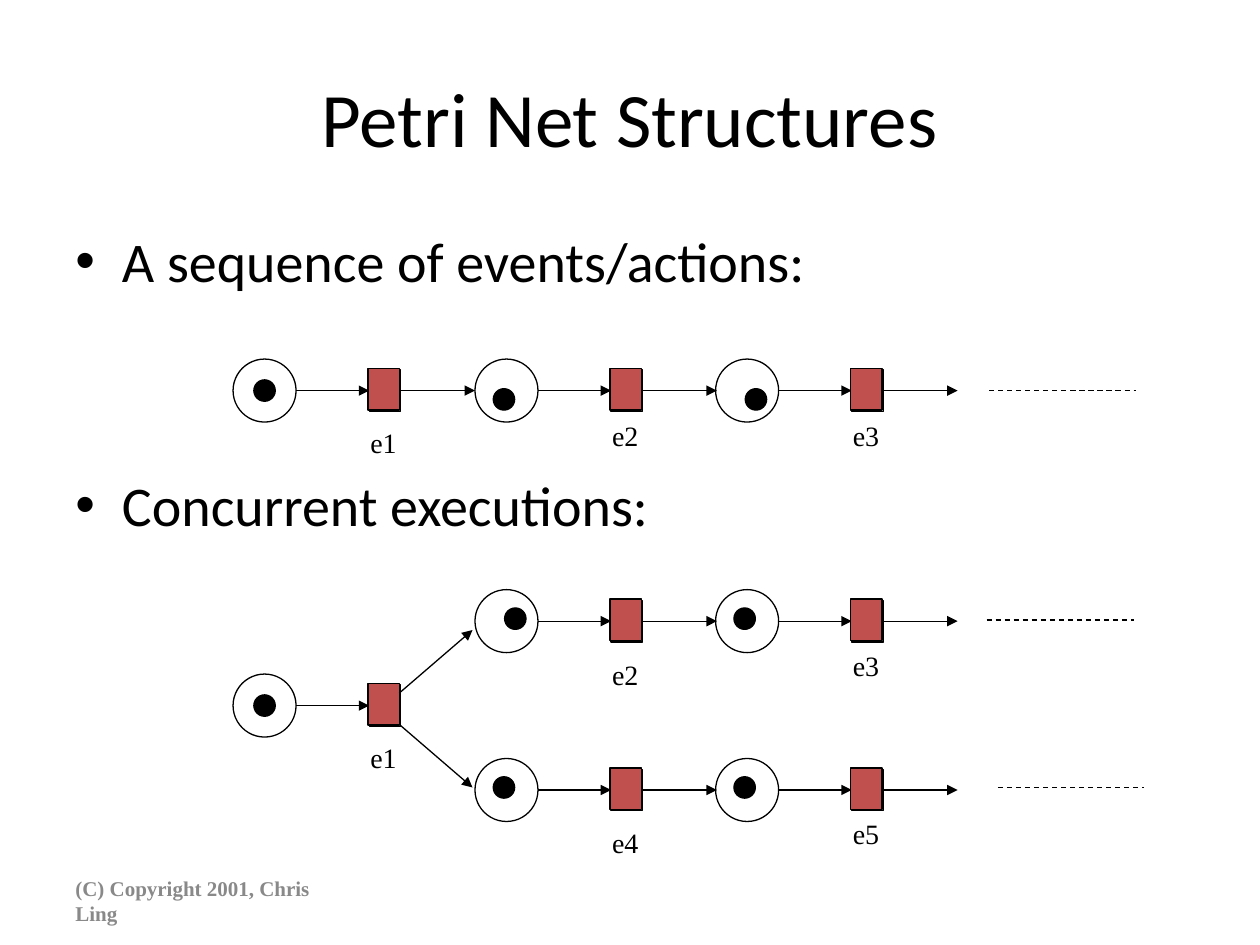
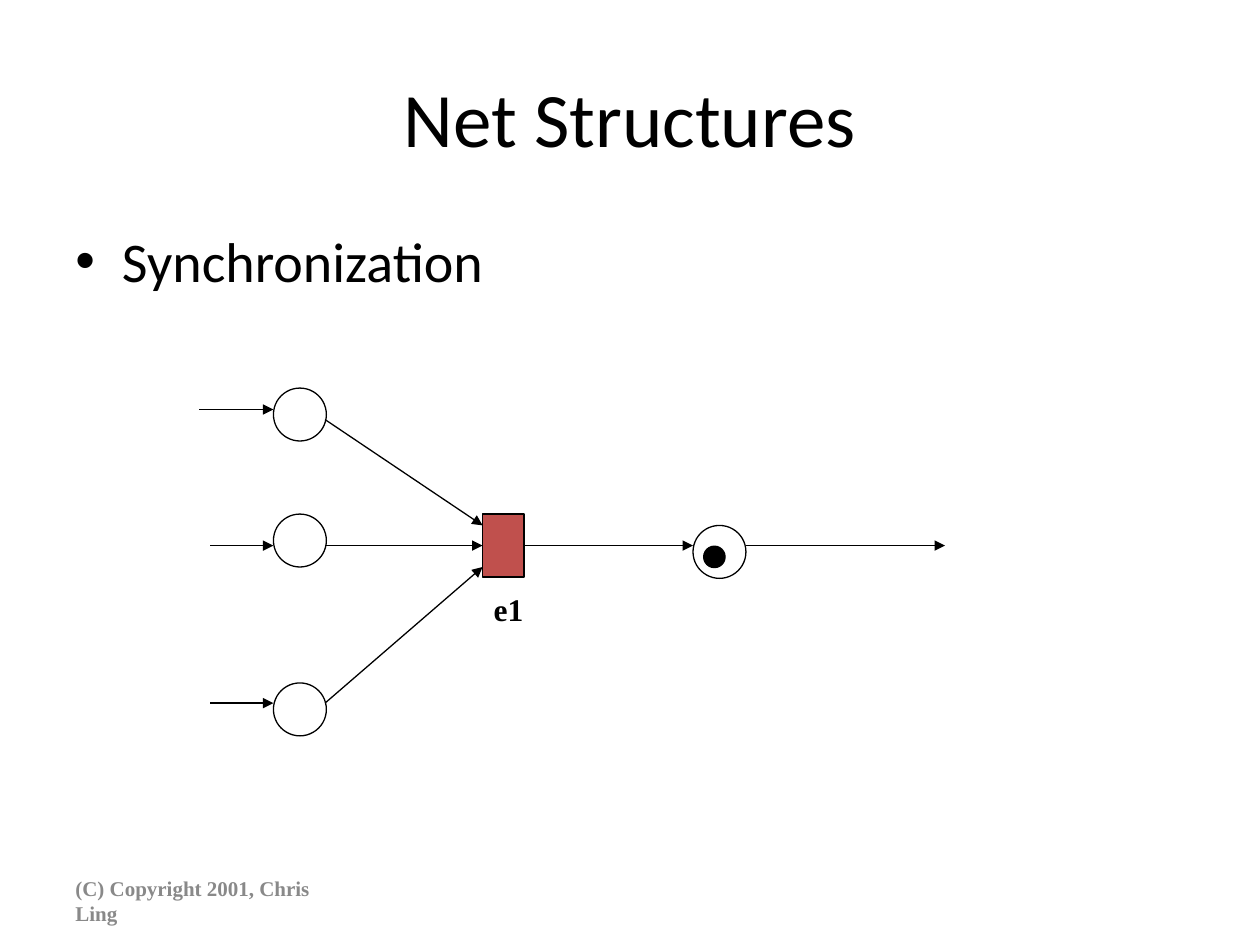
from dataclasses import dataclass

from lxml import etree
from pptx import Presentation
from pptx.dml.color import RGBColor
from pptx.enum.dml import MSO_LINE
from pptx.enum.shapes import MSO_CONNECTOR, MSO_SHAPE
from pptx.enum.text import MSO_ANCHOR, PP_ALIGN
from pptx.oxml.ns import qn
from pptx.util import Inches, Pt

BLACK, RED, GREY = "000000", "C0504D", "898989"
SANS, SERIF = "Calibri", "Times New Roman"
LEFT, RIGHT = 1, 3  # connection sites of a rectangle
FOOTER = "(C) Copyright 2001, Chris Ling"

DOT = 0.17
PLACE = 0.5
EVENT_W, EVENT_H = 0.25, 0.33
EVENT_DX = 1.08  # from a place's left edge to its event
PITCH = 1.92
OFFSET = 0.01  # shift of the red bar from its outline
LABEL_DX = -0.09  # from an event's left edge to its label
LABEL_W, LABEL_H = 0.55, 0.37


@dataclass(frozen=True)
class Step:
    """A place with its token, followed by an event."""
    x: float
    y: float
    label: str
    label_dy: float
    token: tuple[float, float]
    has_next: bool = True


@dataclass(frozen=True)
class Line:
    x1: float
    y1: float
    x2: float
    y2: float
    dashed: bool = False


STEPS = [
    Step(1.85, 3.1, "e1", 0.23, (0, 0)),
    Step(3.77, 3.1, "e2", 0.17, (-0.02, 0.07)),
    Step(5.68, 3.1, "e3", 0.17, (0.07, 0.07)),
    Step(1.85, 5.6, "e1", 0.23, (0, 0), has_next=False),
    Step(3.77, 4.93, "e2", 0.24, (0.07, -0.02)),
    Step(5.68, 4.93, "e3", 0.17, (-0.02, -0.02)),
    Step(3.77, 6.27, "e4", 0.23, (-0.02, -0.02)),
    Step(5.68, 6.27, "e5", 0.16, (-0.02, -0.02)),
]
FORK_AND_CONTINUATIONS = [
    Line(3.17, 5.5, 3.75, 5),
    Line(3.17, 5.75, 3.75, 6.25),
    Line(7.85, 3.1, 9.02, 3.1, dashed=True),
    Line(7.83, 4.92, 9, 4.92, dashed=True),
    Line(7.92, 6.25, 9.08, 6.25, dashed=True),
]
SYNC_PLACES = [(2.17, 3.08), (2.17, 4.08), (2.17, 5.42), (5.5, 4.17)]
SYNC_ARROWS = [
    Line(2.58, 3.33, 3.83, 4.17),
    Line(2.58, 5.58, 3.83, 4.5),
    Line(1.58, 3.25, 2.17, 3.25),
    Line(1.67, 4.33, 2.17, 4.33),
    Line(1.67, 5.58, 2.17, 5.58),
    Line(5.92, 4.33, 7.5, 4.33),
]


def color(value: str) -> RGBColor:
    return RGBColor.from_string(value)


# Basic objects
def add_text(slide, x: float, y: float, w: float, h: float, lines: list[str],
             size: int, font: str, fill: str = BLACK, bold: bool = False,
             anchor=MSO_ANCHOR.TOP, align=PP_ALIGN.LEFT):
    sp = slide.shapes.add_textbox(Inches(x), Inches(y), Inches(w), Inches(h))
    tf = sp.text_frame
    tf.word_wrap = True
    tf.vertical_anchor = anchor
    tf.text = "\n".join(lines)
    for p in tf.paragraphs:
        p.alignment = align
        for r in p.runs:
            r.font.size = Pt(size)
            r.font.name = font
            r.font.bold = bold
            r.font.color.rgb = color(fill)
    return sp


def add_figure(slide, kind, x: float, y: float, w: float, h: float,
               fill: str | None = None):
    sp = slide.shapes.add_shape(kind, Inches(x), Inches(y), Inches(w), Inches(h))
    sp.shadow.inherit = False
    if fill:
        sp.fill.solid()
        sp.fill.fore_color.rgb = color(fill)
    else:
        sp.fill.background()
    sp.line.color.rgb = color(BLACK)
    sp.line.width = Pt(0.75)
    return sp


def add_line(slide, line: Line):
    cx = slide.shapes.add_connector(
        MSO_CONNECTOR.STRAIGHT, Inches(line.x1), Inches(line.y1),
        Inches(line.x2), Inches(line.y2))
    cx.line.color.rgb = color(BLACK)
    cx.line.width = Pt(0.75)
    if line.dashed:
        cx.line.dash_style = MSO_LINE.DASH
    else:
        etree.SubElement(cx.line._get_or_add_ln(), qn("a:tailEnd"), type="triangle")
    etree.SubElement(cx._element.spPr, qn("a:effectLst"))
    return cx


def add_token(slide, cx: float, cy: float) -> None:
    add_figure(slide, MSO_SHAPE.OVAL, cx - DOT / 2, cy - DOT / 2, DOT, DOT, BLACK)


# Shared slide frame: title, bullets, footer
def add_base_slide(prs, title: str, bullets: list[str]):
    slide = prs.slides.add_slide(prs.slide_layouts[6])
    add_text(slide, 0.5, 0.3, 9, 1.25, [title], 44, SANS,
             anchor=MSO_ANCHOR.MIDDLE, align=PP_ALIGN.CENTER)
    body = add_text(slide, 0.5, 1.75, 9, 4.95, bullets, 32, SANS)
    for i, p in enumerate(body.text_frame.paragraphs):
        if i:
            p.space_before = Pt(101)  # leaves room for the first net
        pPr = p._p.get_or_add_pPr()
        pPr.set("marL", str(Inches(0.37)))
        pPr.set("indent", str(-Inches(0.37)))
        etree.SubElement(pPr, qn("a:buFont"), typeface="Arial")
        etree.SubElement(pPr, qn("a:buChar"), char="•")
    add_text(slide, 0.5, 6.95, 2.33, 0.4, [FOOTER], 12, SERIF, GREY,
             bold=True, anchor=MSO_ANCHOR.MIDDLE)
    return slide


def add_step(slide, step: Step) -> None:
    event_x, event_y = step.x + EVENT_DX, step.y - EVENT_H / 2
    outline = add_figure(slide, MSO_SHAPE.RECTANGLE, event_x, event_y, EVENT_W, EVENT_H)
    add_figure(slide, MSO_SHAPE.OVAL, step.x, step.y - PLACE / 2, PLACE, PLACE)
    arrow = add_line(slide, Line(step.x + PLACE, step.y, event_x, step.y))
    arrow.end_connect(outline, LEFT)
    if step.has_next:
        arrow = add_line(slide, Line(event_x + EVENT_W, step.y, step.x + PITCH, step.y))
        arrow.begin_connect(outline, RIGHT)
    dx, dy = step.token
    add_token(slide, step.x + PLACE / 2 + dx, step.y + dy)
    add_figure(slide, MSO_SHAPE.RECTANGLE, event_x - OFFSET, event_y - OFFSET,
               EVENT_W, EVENT_H, RED)
    add_text(slide, event_x + LABEL_DX, step.y + step.label_dy,
             LABEL_W, LABEL_H, [step.label], 16, SERIF)


def build_sequences(prs) -> None:
    slide = add_base_slide(prs, "Petri Net Structures",
                           ["A sequence of events/actions:", "Concurrent executions:"])
    for step in STEPS:
        add_step(slide, step)
    for line in FORK_AND_CONTINUATIONS:
        add_line(slide, line)


def build_synchronization(prs) -> None:
    slide = add_base_slide(prs, "Net Structures", ["Synchronization"])
    event = add_figure(slide, MSO_SHAPE.RECTANGLE, 3.83, 4.08, 0.33, 0.5, RED)
    for x, y in SYNC_PLACES:
        add_figure(slide, MSO_SHAPE.OVAL, x, y, 0.42, 0.42)
    for line in SYNC_ARROWS:
        add_line(slide, line)
    add_line(slide, Line(2.58, 4.33, 3.83, 4.33)).end_connect(event, LEFT)
    add_line(slide, Line(4.16, 4.33, 5.5, 4.33)).begin_connect(event, RIGHT)
    add_token(slide, 5.67, 4.42)
    add_text(slide, 3.82, 4.63, 0.6, 0.4, ["e1"], 18, SERIF, bold=True)


def main() -> None:
    prs = Presentation()
    prs.slide_width, prs.slide_height = Inches(10), Inches(7.5)
    build_sequences(prs)
    build_synchronization(prs)
    prs.save("out.pptx")


if __name__ == "__main__":
    main()
